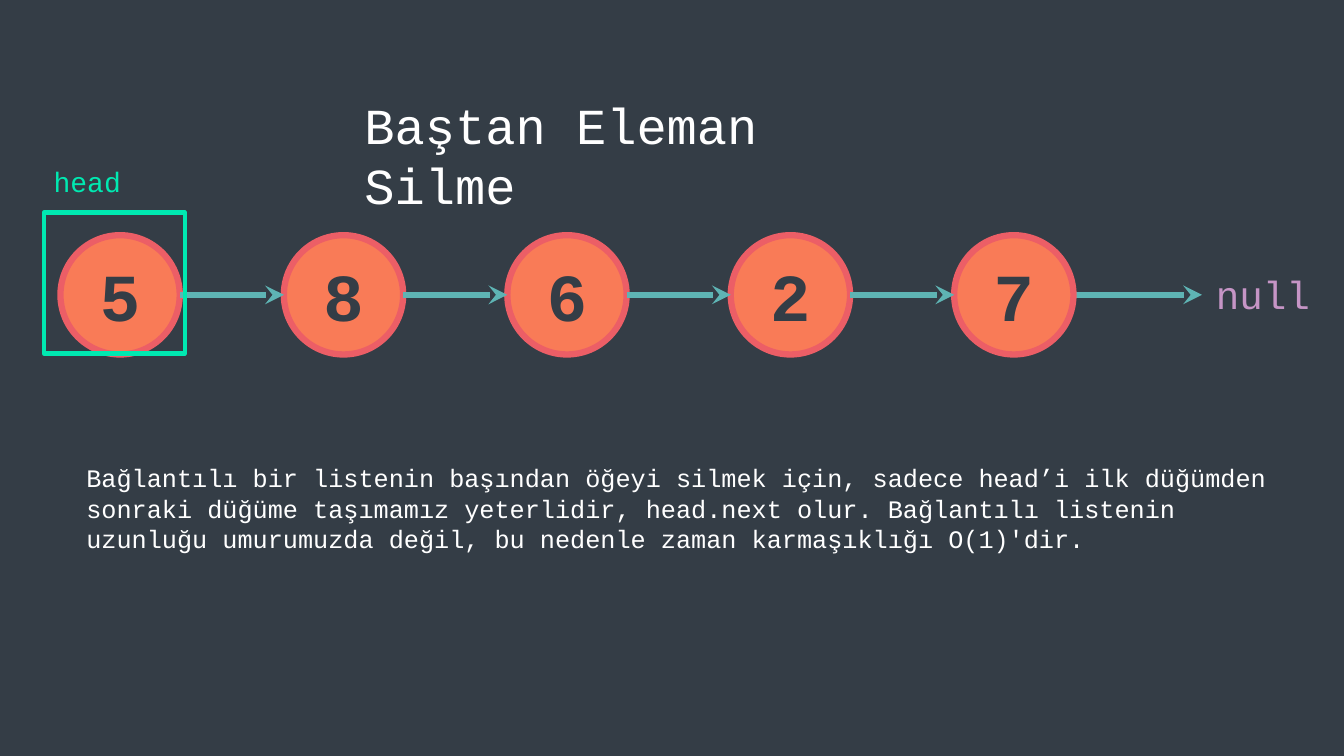
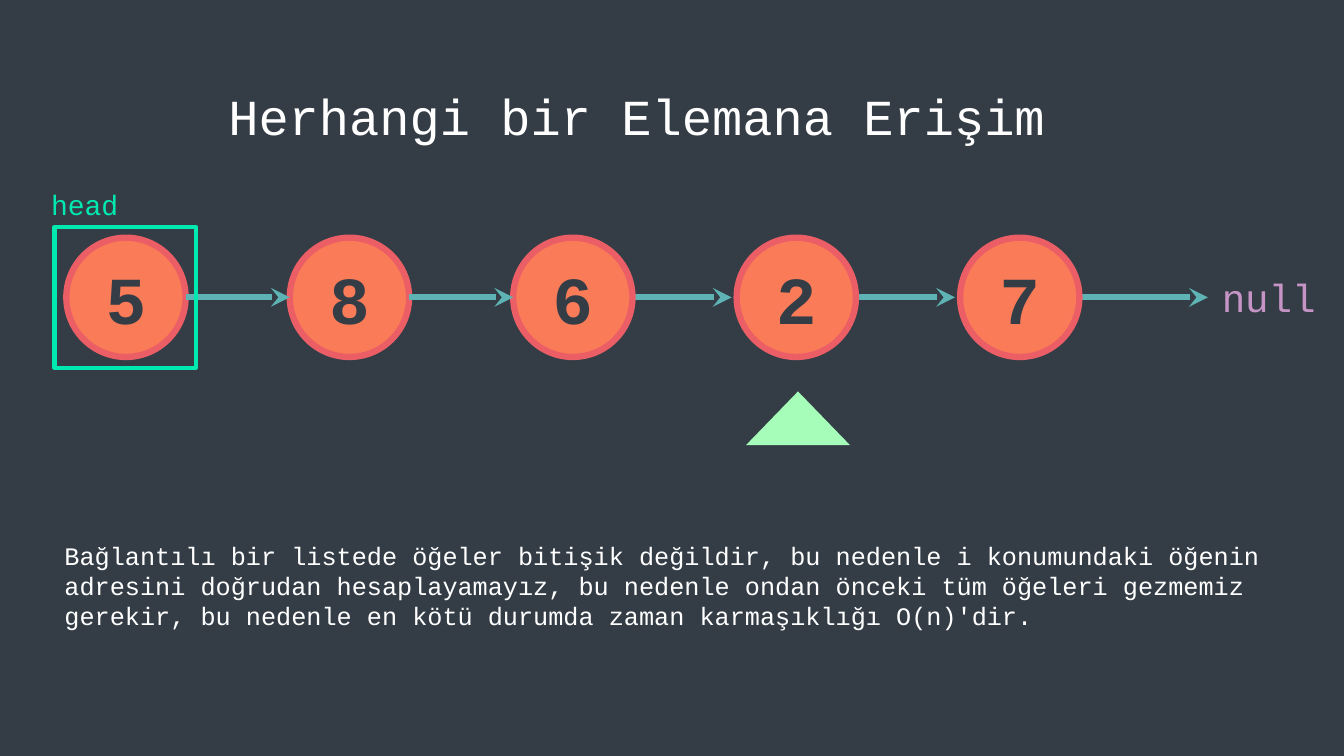
from dataclasses import dataclass
from typing import Optional

from lxml.etree import SubElement
from pptx import Presentation
from pptx.dml.color import RGBColor
from pptx.enum.shapes import MSO_CONNECTOR, MSO_SHAPE
from pptx.enum.text import MSO_ANCHOR, MSO_AUTO_SIZE, PP_ALIGN
from pptx.oxml.ns import qn
from pptx.util import Inches, Pt

COLUMNS, ROWS = 160, 90
CELLS_PER_INCH = 12

FONT = "Courier New"
BACKGROUND = "343D46"
NODE_FILL = "F97B57"
NODE_EDGE = "EC5E66"
ARROW = "5EB4B4"
HEAD = "00E9B1"
NULL = "C695C6"
MARKER = "A5FDB9"
WHITE = "FFFFFF"

VALUES = ("5", "8", "6", "2", "7")
NODE_SIZE = 14.2
NODE_PITCH = 26.6
CHAIN_REACH = 135.9
LOOSE_GAP = 0.6
HEAD_SIZE = 16.8


@dataclass(frozen=True)
class Box:
    left: float
    top: float
    width: float
    height: float

    def emu(self):
        return (cells(self.left), cells(self.top),
                cells(self.width), cells(self.height))


@dataclass(frozen=True)
class TextStyle:
    size: int
    color: str
    align: PP_ALIGN = PP_ALIGN.LEFT
    bold: bool = False


TITLE_STYLE = TextStyle(36, WHITE)
BODY_STYLE = TextStyle(18, WHITE)
HEAD_STYLE = TextStyle(20, HEAD)
NULL_STYLE = TextStyle(28, NULL, PP_ALIGN.CENTER)
NODE_STYLE = TextStyle(48, BACKGROUND, PP_ALIGN.CENTER, True)


@dataclass(frozen=True)
class ListSlide:
    title: str
    title_box: Box
    body: str
    body_box: Box
    chain_left: float
    chain_top: float
    head_box: Box
    head_label: Box
    loose_links: tuple[int, ...]
    marker: Optional[Box] = None


SLIDES = (
    ListSlide(
        title="Baştan Eleman Silme",
        title_box=Box(42.2, 10.6, 65, 8.5),
        body="Bağlantılı bir listenin başından öğeyi silmek için, sadece head’i "
             "ilk düğümden sonraki düğüme taşımamız yeterlidir, head.next olur. "
             "Bağlantılı listenin uzunluğu umurumuzda değil, bu nedenle zaman "
             "karmaşıklığı O(1)'dir.",
        body_box=Box(9.1, 54.5, 145.8, 12.1),
        chain_left=7.2,
        chain_top=28,
        head_box=Box(5.2, 25.3, HEAD_SIZE, HEAD_SIZE),
        head_label=Box(5.2, 19, 11.8, 5.3),
        loose_links=(),
    ),
    ListSlide(
        title="Herhangi bir Elemana Erişim",
        title_box=Box(26, 9.5, 122.6, 8.5),
        body="Bağlantılı bir listede öğeler bitişik değildir, bu nedenle i "
             "konumundaki öğenin adresini doğrudan hesaplayamayız, bu nedenle "
             "ondan önceki tüm öğeleri gezmemiz gerekir, bu nedenle en kötü "
             "durumda zaman karmaşıklığı O(n)'dir.",
        body_box=Box(6.5, 63.7, 151.9, 12.1),
        chain_left=7.9,
        chain_top=28.3,
        head_box=Box(6.5, 27, HEAD_SIZE, HEAD_SIZE),
        head_label=Box(4.9, 21.7, 11.8, 5.3),
        loose_links=(2, 3),
        marker=Box(88.8, 46.6, 12.4, 6.4),
    ),
)


def cells(count: float) -> int:
    return Inches(count / CELLS_PER_INCH)


def paint(color_format, color: str) -> None:
    color_format.rgb = RGBColor.from_string(color)


def write(text_frame, text: str, style: TextStyle) -> None:
    text_frame.word_wrap = True
    paragraph = text_frame.paragraphs[0]
    paragraph.text = text
    paragraph.alignment = style.align
    paragraph.font.name = FONT
    paragraph.font.size = Pt(style.size)
    paragraph.font.bold = style.bold
    paint(paragraph.font.color, style.color)


def add_text(slide, box: Box, text: str, style: TextStyle) -> None:
    text_frame = slide.shapes.add_textbox(*box.emu()).text_frame
    write(text_frame, text, style)
    text_frame.auto_size = MSO_AUTO_SIZE.SHAPE_TO_FIT_TEXT


def add_figure(slide, kind: MSO_SHAPE, box: Box, fill: Optional[str] = None,
               edge: Optional[str] = None, edge_width: float = 0):
    shape = slide.shapes.add_shape(kind, *box.emu())
    shape.shadow.inherit = False
    if fill:
        shape.fill.solid()
        paint(shape.fill.fore_color, fill)
    else:
        shape.fill.background()
    if edge:
        paint(shape.line.color, edge)
        shape.line.width = Pt(edge_width)
    else:
        shape.line.fill.background()
    return shape


def add_node(slide, box: Box, value: str) -> None:
    shape = add_figure(slide, MSO_SHAPE.OVAL, box, NODE_FILL, NODE_EDGE, 4.5)
    text_frame = shape.text_frame
    text_frame.margin_left = text_frame.margin_right = 0
    text_frame.vertical_anchor = MSO_ANCHOR.MIDDLE
    write(text_frame, value, NODE_STYLE)


def add_arrow(slide, start: float, end: float, row: float) -> None:
    connector = slide.shapes.add_connector(
        MSO_CONNECTOR.STRAIGHT, cells(start), cells(row), cells(end), cells(row))
    paint(connector.line.color, ARROW)
    connector.line.width = Pt(4.5)
    SubElement(connector.line._get_or_add_ln(), qn("a:tailEnd"), type="stealth")
    SubElement(connector._element.spPr, qn("a:effectLst"))


def add_chain(slide, content: ListSlide) -> None:
    left, top = content.chain_left, content.chain_top
    middle = top + NODE_SIZE / 2
    lefts = [left + index * NODE_PITCH for index in range(len(VALUES))]

    add_arrow(slide, lefts[-1] + NODE_SIZE, left + CHAIN_REACH, middle)
    for index in content.loose_links:
        add_arrow(slide, lefts[index] + NODE_SIZE,
                  lefts[index + 1] - LOOSE_GAP, middle)
    for node_left, value in zip(lefts, VALUES):
        add_node(slide, Box(node_left, top, NODE_SIZE, NODE_SIZE), value)
    for index, node_left in enumerate(lefts[:-1]):
        if index not in content.loose_links:
            add_arrow(slide, node_left + NODE_SIZE, lefts[index + 1], middle)
    add_text(slide, Box(left + 136.2, top + 3.6, 13.9, 6.8), "null", NULL_STYLE)


def add_list_slide(presentation, content: ListSlide) -> None:
    slide = presentation.slides.add_slide(presentation.slide_layouts[6])
    add_chain(slide, content)
    add_figure(slide, MSO_SHAPE.RECTANGLE, content.head_box,
               edge=HEAD, edge_width=3)
    add_text(slide, content.head_label, "head", HEAD_STYLE)
    if content.marker:
        add_figure(slide, MSO_SHAPE.ISOSCELES_TRIANGLE, content.marker, MARKER)
    add_text(slide, content.body_box, content.body, BODY_STYLE)
    add_text(slide, content.title_box, content.title, TITLE_STYLE)


def main() -> None:
    presentation = Presentation()
    presentation.slide_width = cells(COLUMNS)
    presentation.slide_height = cells(ROWS)
    background = presentation.slide_master.background.fill
    background.solid()
    paint(background.fore_color, BACKGROUND)
    for content in SLIDES:
        add_list_slide(presentation, content)
    presentation.save("out.pptx")


if __name__ == "__main__":
    main()
